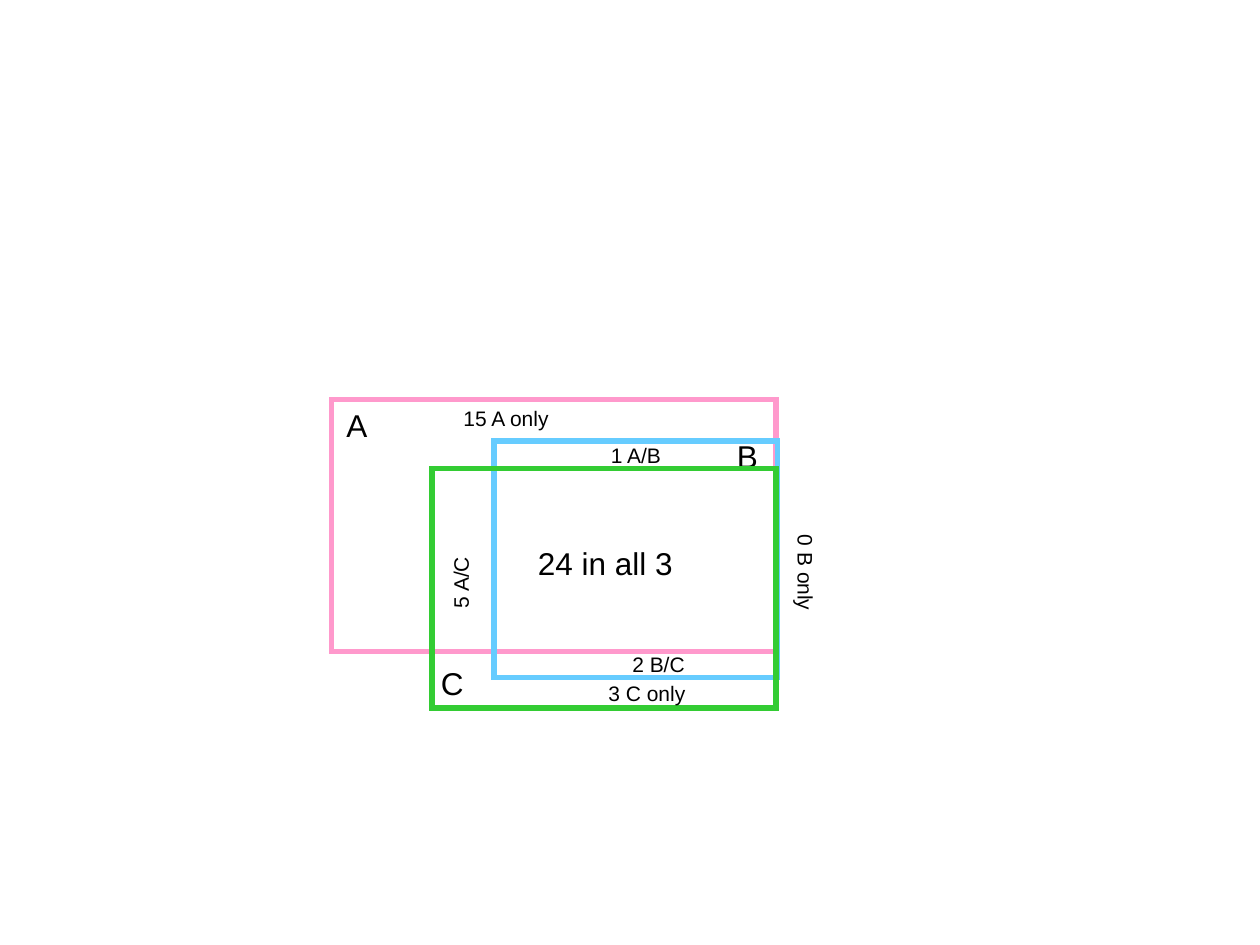
from lxml.etree import SubElement
from pptx import Presentation
from pptx.dml.color import RGBColor
from pptx.enum.shapes import MSO_SHAPE
from pptx.enum.text import MSO_AUTO_SIZE, PP_ALIGN
from pptx.oxml.ns import qn
from pptx.util import Inches, Pt

COLORS = {"A": "FF99CC", "B": "66CCFF", "C": "33CC33", "text": "000000"}
FONT = "Arial"
LETTER_SIZE, REGION_SIZE = 18, 12

# Sets, back to front: letter, rectangle, letter box, grouped
SETS = [
    ("A", (2.63, 3.17, 3.53, 2), (2.65, 3.17, 0.36, 0.4), True),
    ("B", (3.92, 3.5, 2.25, 1.88), (5.75, 3.42, 0.36, 0.4), False),
    ("C", (3.43, 3.72, 2.73, 1.9), (3.4, 5.22, 0.38, 0.4), True),
]

# Region counts: text, box, size, rotation
REGIONS = [
    ("24 in all 3", (4.17, 4.27, 1.27, 0.4), LETTER_SIZE, 0),
    ("2 B/C", (4.92, 5.12, 0.63, 0.3), REGION_SIZE, 0),
    ("1 A/B", (4.75, 3.46, 0.63, 0.3), REGION_SIZE, 0),
    ("5 A/C", (3.34, 4.46, 0.63, 0.3), REGION_SIZE, 270),
    ("15 A only", (3.58, 3.17, 0.9, 0.3), REGION_SIZE, 0),
    ("0 B only", (5.99, 4.4, 0.81, 0.3), REGION_SIZE, 90),
    ("3 C only", (4.73, 5.35, 0.82, 0.3), REGION_SIZE, 0),
]


def add_outline(shapes, box, color):
    shape = shapes.add_shape(MSO_SHAPE.RECTANGLE, *map(Inches, box))
    shape.shadow.inherit = False
    shape.fill.background()
    shape.line.color.rgb = RGBColor.from_string(color)
    shape.line.width = Pt(3)
    # Square corners
    line = shape.element.spPr.find(qn("a:ln"))
    SubElement(line, qn("a:miter"), lim="800000")


def add_label(shapes, text, box, size, alignment=PP_ALIGN.LEFT, rotation=0):
    label = shapes.add_textbox(*map(Inches, box))
    label.rotation = rotation
    text_frame = label.text_frame
    text_frame.text = text
    text_frame.word_wrap = False
    text_frame.auto_size = MSO_AUTO_SIZE.SHAPE_TO_FIT_TEXT
    paragraph = text_frame.paragraphs[0]
    paragraph.alignment = alignment
    font = paragraph.runs[0].font
    font.name = FONT
    font.size = Pt(size)
    font.color.rgb = RGBColor.from_string(COLORS["text"])


def main():
    presentation = Presentation()
    presentation.slide_width = Inches(10)
    presentation.slide_height = Inches(7.5)
    slide = presentation.slides.add_slide(presentation.slide_layouts[6])

    # Overlapping set rectangles with their letters
    for letter, outline_box, letter_box, grouped in SETS:
        shapes = slide.shapes.add_group_shape().shapes if grouped else slide.shapes
        add_outline(shapes, outline_box, COLORS[letter])
        add_label(shapes, letter, letter_box, LETTER_SIZE, PP_ALIGN.CENTER)

    # Counts in each region
    for text, box, size, rotation in REGIONS:
        add_label(slide.shapes, text, box, size, rotation=rotation)

    presentation.save("out.pptx")


if __name__ == "__main__":
    main()
